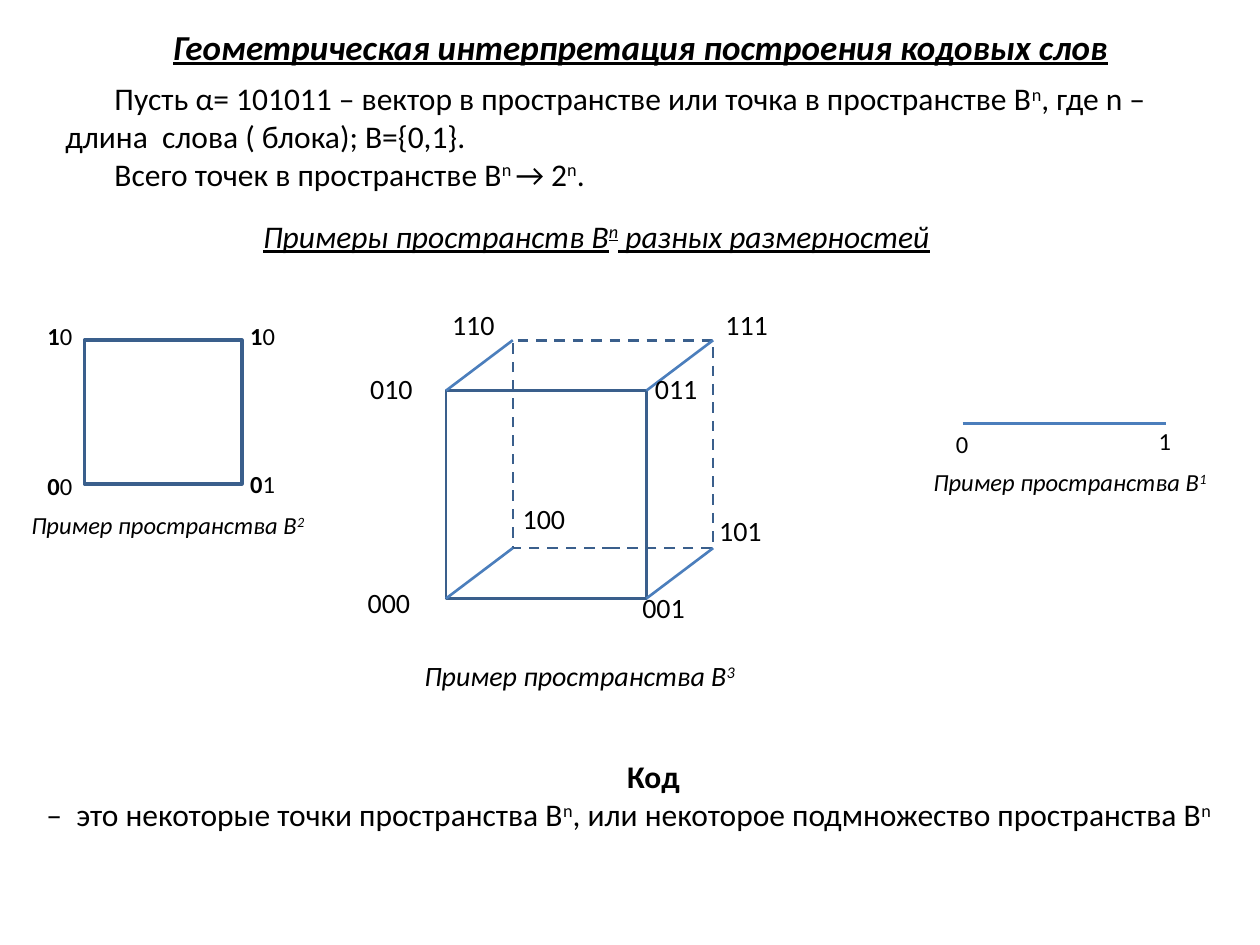
from pptx import Presentation
from pptx.dml.color import RGBColor
from pptx.enum.dml import MSO_LINE
from pptx.enum.shapes import MSO_CONNECTOR, MSO_SHAPE
from pptx.enum.text import MSO_ANCHOR, MSO_AUTO_SIZE, PP_ALIGN
from pptx.oxml.ns import qn
from pptx.util import Inches, Pt

BLACK = RGBColor(0x00, 0x00, 0x00)
OUTLINE = RGBColor(0x3A, 0x5F, 0x8C)
EDGE = RGBColor(0x4B, 0x7E, 0xBC)
RECT, STRAIGHT = MSO_SHAPE.RECTANGLE, MSO_CONNECTOR.STRAIGHT
DASH = MSO_LINE.DASH
LEFT, CENTER = PP_ALIGN.LEFT, PP_ALIGN.CENTER
TOP, NO_FIT = MSO_ANCHOR.TOP, MSO_AUTO_SIZE.NONE
TITLE_ONLY = 5
COLUMNS, ROWS = 100, 75
INDENT = Inches(0.39)


class Board:
    """Draws on a slide of 100 columns by 75 rows."""

    font = "Calibri"

    def __init__(self, prs):
        self.prs = prs
        self.slide = prs.slides.add_slide(prs.slide_layouts[TITLE_ONLY])
        self.shapes = self.slide.shapes

    def start_group(self):
        self.shapes = self.slide.shapes.add_group_shape().shapes

    def end_group(self):
        self.shapes = self.slide.shapes

    def place(self, *lengths):
        """Turn alternating columns and rows into lengths."""
        units = self.prs.slide_width / COLUMNS, self.prs.slide_height / ROWS
        return [round(n * units[i % 2]) for i, n in enumerate(lengths)]

    def fill_text(self, sp, paragraphs, size, align=LEFT, indent=0, inset=0.1,
                  bold=False, italic=False, underline=False):
        """Fill a shape; ^x^ is superscript, *x* is bold, \\v breaks the line."""
        tf = sp.text_frame
        tf.word_wrap, tf.auto_size, tf.vertical_anchor = True, NO_FIT, TOP
        tf.margin_left = tf.margin_right = Inches(inset)
        for i, text in enumerate(paragraphs):
            p = tf.add_paragraph() if i else tf.paragraphs[0]
            p.alignment = align
            if indent:
                p._p.get_or_add_pPr().set("indent", str(indent))
            for j, line in enumerate(text.split("\v")):
                if j:
                    p.add_line_break()
                for k, part in enumerate(line.split("^")):
                    for m, piece in enumerate(part.split("*")):
                        if not piece:
                            continue
                        r = p.add_run()
                        r.text = piece
                        f = r.font
                        f.name, f.size, f.color.rgb = self.font, Pt(size), BLACK
                        f.bold = bold or m % 2 == 1
                        f.italic, f.underline = italic, underline
                        if k % 2:
                            f._element.set("baseline", "30000")

    def title(self, text, box, size):
        sp = self.shapes.title
        sp.left, sp.top, sp.width, sp.height = self.place(*box)
        self.fill_text(sp, [text], size, CENTER,
                       bold=True, italic=True, underline=True)

    def text(self, paragraphs, box, size, **style):
        sp = self.shapes.add_textbox(*self.place(*box))
        self.fill_text(sp, paragraphs, size, **style)

    def point_label(self, text, column, row):
        self.text([text], (column, row, 3.3, 3.4), 14, align=CENTER, inset=0)

    def caption(self, power, box, size):
        self.text([f"Пример пространства B^{power}^"], box, size, italic=True)

    def rectangle(self, box, width, dash=None):
        sp = self.shapes.add_shape(RECT, *self.place(*box))
        sp.shadow.inherit = False
        sp.fill.background()
        sp.line.color.rgb, sp.line.width = OUTLINE, Pt(width)
        if dash:
            sp.line.dash_style = dash

    def line(self, start, end, width):
        sp = self.shapes.add_connector(STRAIGHT, *self.place(*start, *end))
        sp.line.color.rgb, sp.line.width = EDGE, Pt(width)
        sp._element.spPr.append(
            sp._element.makeelement(qn("a:effectLst"), {}))


def draw_square(board):
    left, top, width, height = 6.7, 27, 12.5, 11.4
    board.rectangle((left, top, width, height), 2)
    for text, column, row in (("*0*0", left - 3.6, 36.9),
                              ("*0*1", left + width, 36.7),
                              ("*1*0", left - 3.6, 25),
                              ("*1*0", left + width, 25)):
        board.point_label(text, column, row)
    board.caption(2, (1.5, 40, 24.3, 3.4), 14)


def draw_cube(board):
    left, bottom, width, height = 35.4, 47.5, 15.9, 16.5
    depth_x, depth_y = 5.3, -4

    def vertex(code):
        depth, up, right = (int(bit) for bit in code)
        return (left + right * width + depth * depth_x,
                bottom - up * height + depth * depth_y)

    board.start_group()
    for corner, dash in (("010", None), ("110", DASH)):
        board.rectangle((*vertex(corner), width, height), 1.5, dash)
    for face in ("01", "00", "10", "11"):
        board.line(vertex("0" + face), vertex("1" + face), 1.5)
    label_offsets = {
        "000": (-7.2, -1.5), "010": (-7, -2), "001": (-1.3, -1.1),
        "110": (-5.8, -3.1), "101": (-0.5, -3.2), "011": (-0.3, -2),
        "111": (0, -3.1), "100": (-0.2, -4.2),
    }
    for code, (dx, dy) in label_offsets.items():
        x, y = vertex(code)
        board.text([code], (x + dx, y + dy, 6.6, 4.5), 16)
    board.end_group()
    board.caption(3, (32.7, 51.8, 27.4, 3.7), 16)


def draw_segment(board):
    start, end, row = 76.4, 92.5, 33.6
    board.line((start, row), (end, row), 2)
    board.point_label("0", start - 1.7, row)
    board.point_label("1", end - 1.7, row - 0.3)
    board.caption(1, (73.1, 36.6, 25, 3.4), 14)


def main():
    prs = Presentation()
    prs.slide_width, prs.slide_height = Inches(10), Inches(7.5)
    board = Board(prs)
    board.title("Геометрическая интерпретация построения кодовых слов",
                (7.5, 1.5, 86.7, 4.4), 20)
    board.text(["Пусть α= 101011 – вектор в пространстве или точка в "
                "пространстве B^n^, где n – длина  слова ( блока); B={0,1}.",
                "Всего точек в пространстве B^n ^→ 2^n^."],
               (4.2, 5.8, 92.5, 10.1), 18, indent=INDENT)
    board.text(["Примеры пространств B^n^ разных размерностей"],
               (19.9, 16.7, 55.6, 4), 18, italic=True, underline=True)
    draw_square(board)
    draw_cube(board)
    draw_segment(board)
    board.text(["*Код*\v–  это некоторые точки пространства B^n^, "
                "или некоторое подмножество пространства B^n^"],
               (1.5, 59.6, 96.8, 7.1), 18, align=CENTER, indent=INDENT)
    prs.save("out.pptx")


if __name__ == "__main__":
    main()
